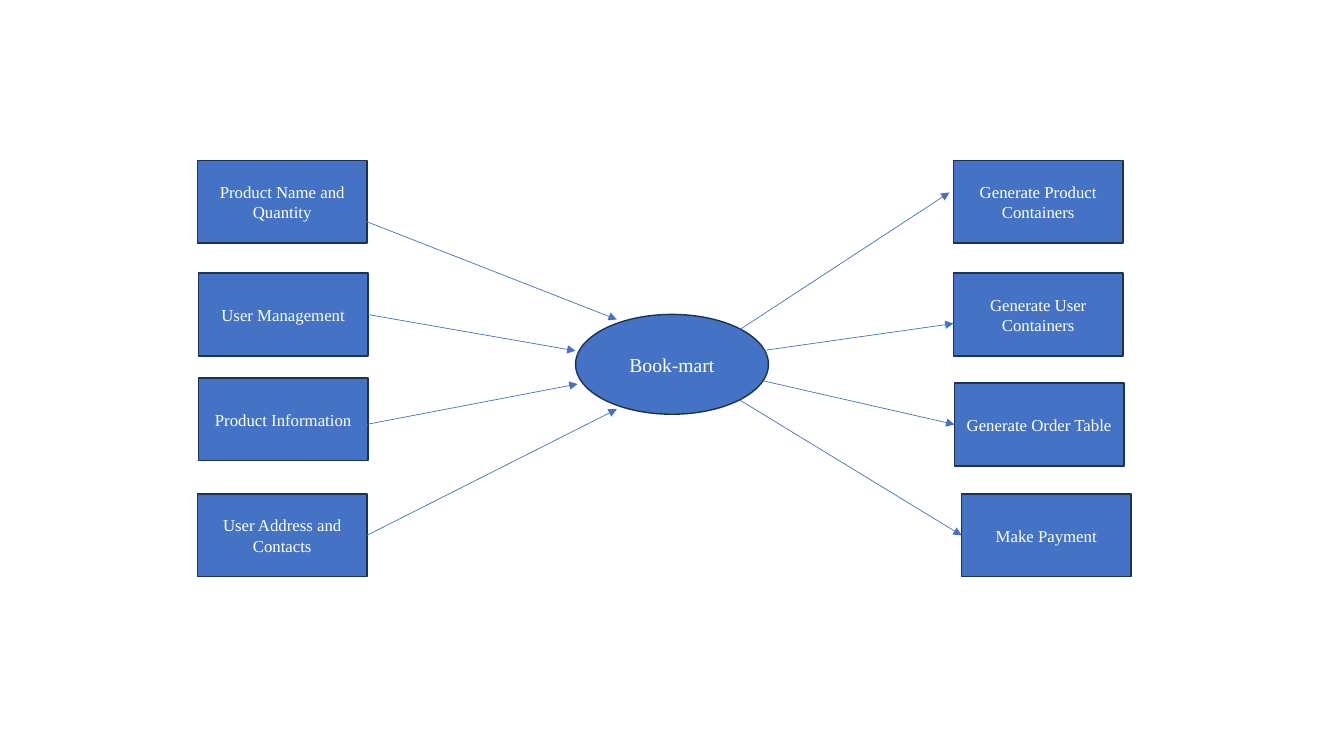
from dataclasses import dataclass

from lxml.etree import SubElement
from pptx import Presentation
from pptx.dml.color import RGBColor
from pptx.enum.shapes import MSO_CONNECTOR, MSO_SHAPE
from pptx.enum.text import MSO_ANCHOR, PP_ALIGN
from pptx.oxml.ns import qn
from pptx.shapes.autoshape import Shape
from pptx.slide import Slide
from pptx.util import Pt

BLUE = "4472C4"
NAVY = "1E3256"
WHITE = "FFFFFF"
FONT = "Times New Roman"
BOX_WIDTH, BOX_HEIGHT = 121, 59.2
LEFT_SIDE, RIGHT_SIDE = 1, 3


@dataclass(frozen=True)
class Box:
    """A process box and its arrow; box_end is where the arrow meets the box."""

    text: str
    left: float
    top: float
    box_end: tuple[float, float]
    hub_end: tuple[float, float]
    joined: bool = False


INPUTS = [
    Box("Product Name and Quantity", 141.1, 114.5, (258.5, 157), (440.6, 228.2)),
    Box("User Management", 141.8, 195.1, (262.8, 224.7), (411.1, 250.6), joined=True),
    Box("Product Information", 141.8, 270, (258.5, 303.8), (412.6, 274.3)),
    Box("User Address and Contacts", 141.1, 352.8, (262.1, 382.4), (440.6, 292.3), joined=True),
]
OUTPUTS = [
    Box("Generate Product Containers", 681.1, 114.5, (678.2, 137.5), (528.5, 235.4)),
    Box("Generate User Containers", 681.1, 195.1, (681.1, 231.1), (538.6, 251.3)),
    Box("Generate Order Table", 681.8, 273.6, (681.8, 303.2), (545.8, 272.2), joined=True),
    Box("Make Payment", 686.9, 352.8, (686.9, 382.4), (528.5, 285.8), joined=True),
]


def color(value: str) -> RGBColor:
    return RGBColor.from_string(value)


def write_text(shape: Shape, text: str, *, size: float, font_color: str = WHITE) -> None:
    frame = shape.text_frame
    frame.word_wrap = True
    frame.vertical_anchor = MSO_ANCHOR.MIDDLE
    paragraph = frame.paragraphs[0]
    paragraph.alignment = PP_ALIGN.CENTER
    run = paragraph.add_run()
    run.text = text
    run.font.name = FONT
    run.font.size = Pt(size)
    run.font.color.rgb = color(font_color)


def add_node(slide: Slide, kind: MSO_SHAPE, text: str, left: float, top: float,
             width: float, height: float, *, size: float) -> Shape:
    shape = slide.shapes.add_shape(kind, Pt(left), Pt(top), Pt(width), Pt(height))
    shape.shadow.inherit = False
    shape.fill.solid()
    shape.fill.fore_color.rgb = color(BLUE)
    shape.line.color.rgb = color(NAVY)
    shape.line.width = Pt(1)
    write_text(shape, text, size=size)
    return shape


def add_arrow(slide: Slide, box: Box, shape: Shape, *, inward: bool) -> None:
    """Draw the arrow from an input box to the hub, or from the hub to an output box."""
    start, end = (box.box_end, box.hub_end) if inward else (box.hub_end, box.box_end)
    arrow = slide.shapes.add_connector(MSO_CONNECTOR.STRAIGHT, *map(Pt, start + end))
    if box.joined and inward:
        arrow.begin_connect(shape, RIGHT_SIDE)
    elif box.joined:
        arrow.end_connect(shape, LEFT_SIDE)
    arrow.line.color.rgb = color(BLUE)
    arrow.line.width = Pt(0.5)
    properties = arrow.element.spPr
    SubElement(properties.find(qn("a:ln")), qn("a:tailEnd"), type="triangle")
    SubElement(properties, qn("a:effectLst"))


def main() -> None:
    presentation = Presentation()
    presentation.slide_width, presentation.slide_height = Pt(960), Pt(540)
    blank_layout = presentation.slide_layouts[6]
    slide = presentation.slides.add_slide(blank_layout)

    add_node(slide, MSO_SHAPE.OVAL, "Book-mart", 411.1, 224.6, 137.8, 71.3, size=14)
    boxes = INPUTS + OUTPUTS
    shapes = [
        add_node(slide, MSO_SHAPE.RECTANGLE, box.text, box.left, box.top,
                 BOX_WIDTH, BOX_HEIGHT, size=12)
        for box in boxes
    ]
    for box, shape in zip(boxes, shapes):
        add_arrow(slide, box, shape, inward=box in INPUTS)

    presentation.save("out.pptx")


if __name__ == "__main__":
    main()
